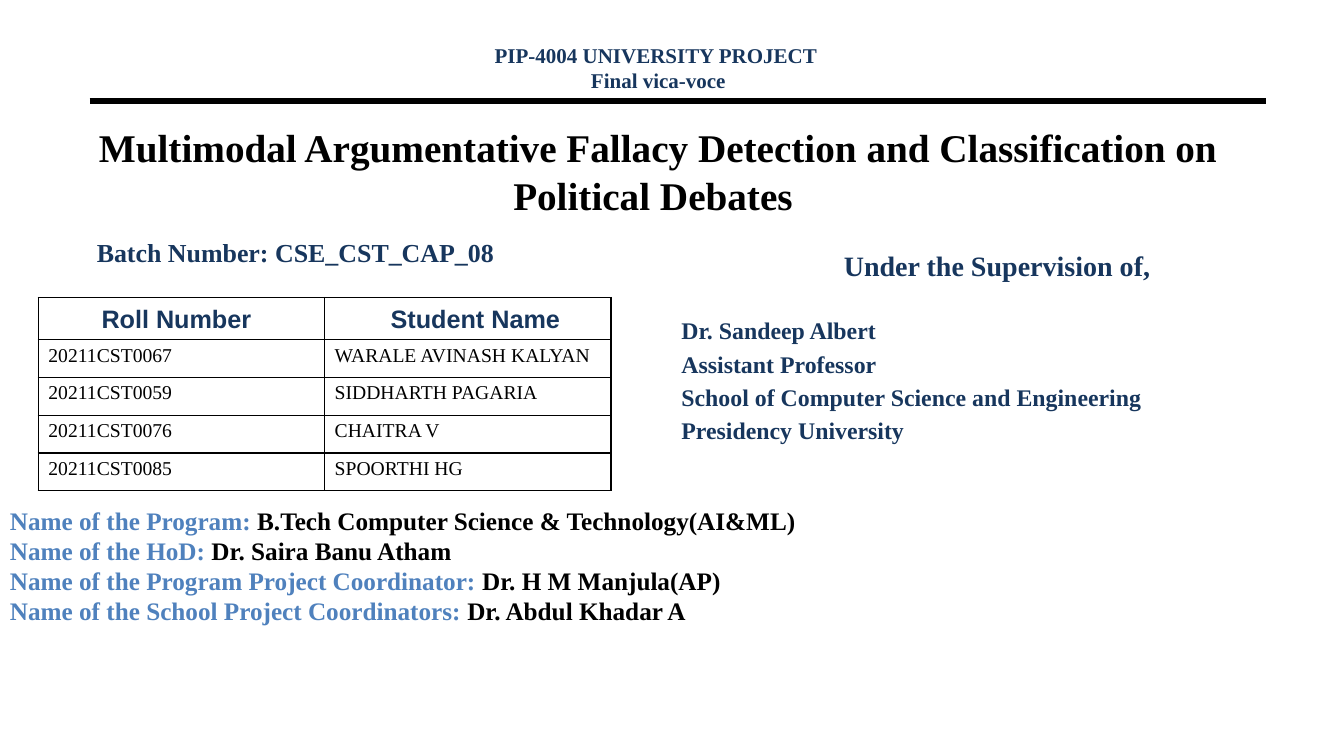
from lxml import etree
from pptx import Presentation
from pptx.dml.color import RGBColor
from pptx.enum.shapes import MSO_CONNECTOR as CONN
from pptx.enum.text import MSO_ANCHOR as ANCHOR, MSO_AUTO_SIZE as AUTOSIZE, PP_ALIGN as ALIGN
from pptx.oxml.ns import qn
from pptx.util import Inches, Pt

BLACK = RGBColor(0x00, 0x00, 0x00)
NAVY = RGBColor(0x17, 0x36, 0x5D)
BLUE = RGBColor(0x4F, 0x81, 0xBD)

STUDENTS = [
    ("20211CST0067", "WARALE AVINASH KALYAN"),
    ("20211CST0059", "SIDDHARTH PAGARIA"),
    ("20211CST0076", "CHAITRA V"),
    ("20211CST0085", "SPOORTHI HG"),
]
STAFF = [
    ("Name of the Program: ", "B.Tech Computer Science & Technology(AI&ML)"),
    ("Name of the HoD: ", "Dr. Saira Banu Atham"),
    ("Name of the Program Project Coordinator: ", "Dr. H M Manjula(AP)"),
    ("Name of the School Project Coordinators: ", "Dr. Abdul Khadar A"),
]
SUPERVISOR = ["Assistant Professor", "School of Computer Science and Engineering",
              "Presidency University"]


class CoverSlide:
    """Holds the cover style and the slide being filled."""

    font = {"name": "Times New Roman", "bold": True}

    def __init__(self, prs):
        self.s = prs.slides.add_slide(prs.slide_layouts[0])

    def paragraph(self, p, runs, align=ALIGN.LEFT, before=0, **font):
        layout = {"alignment": align, "space_before": Pt(before), "space_after": Pt(0)}
        for name, value in layout.items():
            setattr(p, name, value)
        for text, color in runs:
            r = p.add_run()
            r.text = text
            for name, value in {**self.font, **font}.items():
                setattr(r.font, name, value)
            r.font.color.rgb = color

    def fill(self, sp, paragraphs, anchor=ANCHOR.TOP):
        tf = sp.text_frame
        frame = {"word_wrap": True, "auto_size": AUTOSIZE.NONE, "vertical_anchor": anchor}
        for name, value in frame.items():
            setattr(tf, name, value)
        for i, (runs, style) in enumerate(paragraphs):
            p = tf.add_paragraph() if i else tf.paragraphs[0]
            self.paragraph(p, runs, **style)

    def placeholder(self, index, box, paragraphs, anchor=ANCHOR.TOP):
        sp = self.s.placeholders[index]
        for name, value in zip(("left", "top", "width", "height"), box):
            setattr(sp, name, Inches(value))
        self.fill(sp, paragraphs, anchor)

    def text(self, box, paragraphs):
        self.fill(self.s.shapes.add_textbox(*map(Inches, box)), paragraphs)

    def rule(self, x1, x2, y, width):
        line = self.s.shapes.add_connector(CONN.STRAIGHT, *map(Inches, (x1, y, x2, y)))
        line.line.color.rgb = BLACK
        line.line.width = Pt(width)
        etree.SubElement(line._element.spPr, qn("a:effectLst"))

    def border(self, cell, visible):
        tcPr = cell._tc.get_or_add_tcPr()
        for i, side in enumerate(("lnL", "lnR", "lnT", "lnB")):
            ln = etree.Element(qn(f"a:{side}"), w=str(Pt(1)))
            fill = etree.SubElement(ln, qn("a:solidFill" if visible else "a:noFill"))
            if visible:
                etree.SubElement(fill, qn("a:srgbClr"), val=str(BLACK))
            tcPr.insert(i, ln)

    def table(self, box, widths, heights, values, color, bordered, anchor, **style):
        frame = self.s.shapes.add_table(len(heights), len(widths), *map(Inches, box))
        table = frame.table
        table.first_row = table.horz_banding = False
        for column, width in zip(table.columns, widths):
            column.width = Inches(width)
        for i, height in enumerate(heights):
            table.rows[i].height = Inches(height)
            for j in range(len(widths)):
                cell = table.cell(i, j)
                cell.fill.background()
                cell.vertical_anchor = anchor
                self.border(cell, bordered)
                if i in values:
                    p = cell.text_frame.paragraphs[0]
                    self.paragraph(p, [(values[i][j], color)], **style)


def main():
    prs = Presentation()
    prs.slide_width, prs.slide_height = Inches(13.33), Inches(7.5)
    cover = CoverSlide(prs)
    centred = {"align": ALIGN.CENTER}

    cover.rule(0.89, 12.56, 1, 4.5)
    title = "Multimodal Argumentative Fallacy Detection and Classification on Political Debates "
    cover.placeholder(0, (0.86, 1.17, 11.33, 1.05),
                      [([(title, BLACK)], {**centred, "size": Pt(28)})], ANCHOR.MIDDLE)
    cover.placeholder(1, (0.86, 2.3, 4.34, 0.6),
                      [([("Batch Number: CSE_CST_CAP_08", NAVY)], {"size": Pt(18.5)})])
    cover.table((0.61, 2.98, 5.93, 1.98), (2.28, 3.65), [0.33] * 6,
                {0: ("Roll Number", "Student Name")}, NAVY, False, ANCHOR.MIDDLE,
                align=ALIGN.CENTER, size=Pt(18), name="Arial")
    cover.text((6.66, 2.42, 6.46, 2.21), [
        ([("Under the Supervision of,", NAVY)], {**centred, "size": Pt(20)}),
        ([("Dr. Sandeep Albert", NAVY)], {"before": 24, "size": Pt(17)}),
        *[([(line, NAVY)], {"before": 3.4, "size": Pt(17)}) for line in SUPERVISOR],
    ])
    cover.text((4.36, 0.37, 4.34, 0.6), [
        ([(line, NAVY)], {**centred, "size": Pt(15)})
        for line in ("PIP-4004 UNIVERSITY PROJECT ", "Final vica-voce")
    ])
    cover.text((0, 4.96, 13.4, 1.71), [
        ([(label, BLUE), (name, BLACK)], {"size": Pt(18)}) for label, name in STAFF
    ])
    row_height = (1.92 - 0.42) / len(STUDENTS)
    cover.table((0.38, 2.95, 5.68, 1.92), (2.84, 2.84), [0.42] + [row_height] * len(STUDENTS),
                dict(enumerate(STUDENTS, 1)), BLACK, True, ANCHOR.TOP,
                size=Pt(14), bold=False)
    prs.save("out.pptx")


if __name__ == "__main__":
    main()
